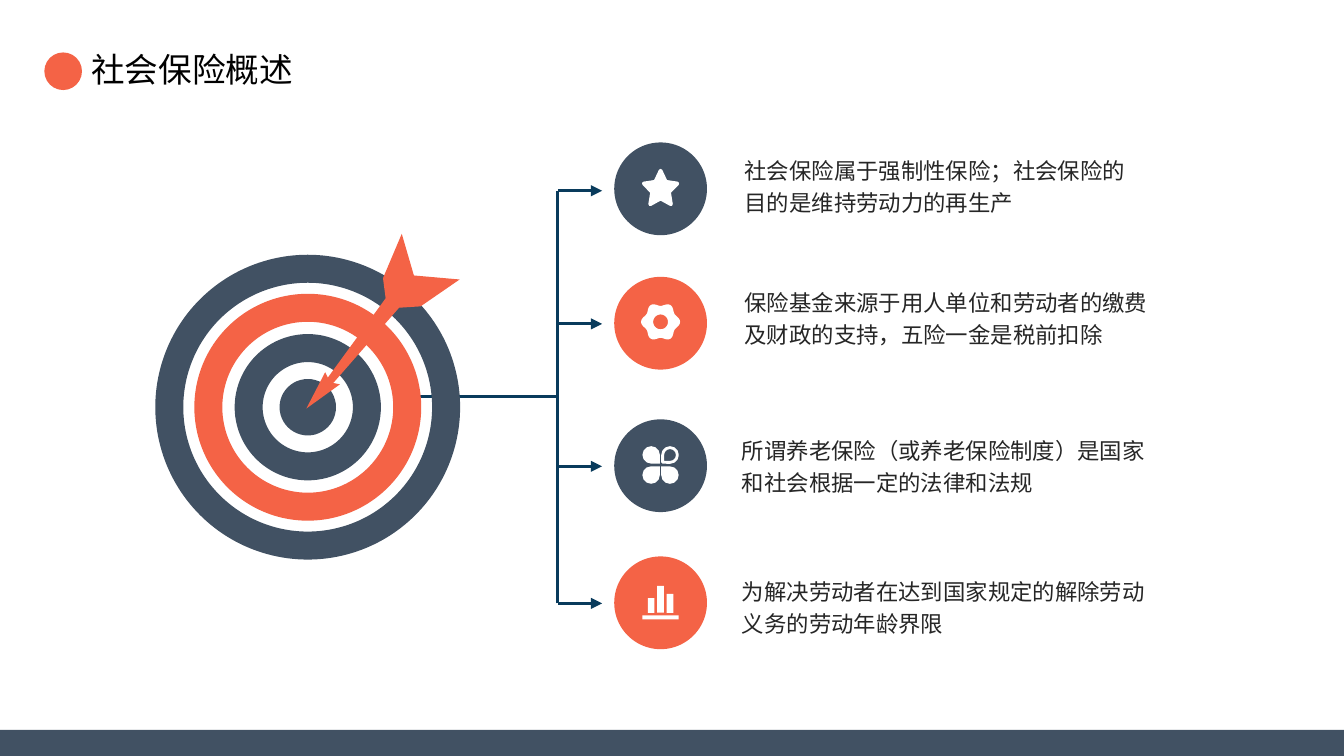
from dataclasses import dataclass
from math import cos, sin, tau
from typing import Callable

from lxml.etree import SubElement
from pptx import Presentation
from pptx.dml.color import RGBColor
from pptx.enum.shapes import MSO_CONNECTOR as Connector, MSO_SHAPE as Preset
from pptx.enum.text import MSO_ANCHOR as Anchor, MSO_AUTO_SIZE as AutoSize, PP_ALIGN as Align
from pptx.oxml.ns import qn
from pptx.util import Emu, Pt

PX = 9144  # EMU per px, 100 px to the inch
SLIDE_WIDTH = 1000


@dataclass(frozen=True)
class Theme:
    slate: str = "415163"
    coral: str = "F46346"
    navy: str = "093B5C"
    white: str = "FFFFFF"
    heading: str = "000000"
    body: str = "262626"
    heading_font: str = "Arial"
    body_font: str = "Noto Sans CJK SC"
    heading_pt: int = 18
    body_pt: int = 12
    body_leading: float = 17.3
    branch_pt: float = 1.5
    ring_pt: int = 15


THEME = Theme()


@dataclass(frozen=True)
class Box:
    x: int
    y: int
    w: int
    h: int


@dataclass(frozen=True)
class Point:
    text: str
    text_box: Box
    badge_y: int
    arrow_y: int
    color: str
    icon: Callable


def px(length: float) -> Emu:
    return Emu(round(length * PX))


def add_preset(slide, kind, box: Box, fill: str | None = None,
               line: str | None = None, line_pt: float = 0, turn: int = 0):
    shape = slide.shapes.add_shape(kind, px(box.x), px(box.y), px(box.w), px(box.h))
    shape.shadow.inherit = False
    shape.rotation = turn
    if fill:
        shape.fill.solid()
        shape.fill.fore_color.rgb = RGBColor.from_string(fill)
    else:
        shape.fill.background()
    if line:
        shape.line.color.rgb = RGBColor.from_string(line)
        shape.line.width = Pt(line_pt)
    else:
        shape.line.fill.background()
    return shape


def add_outline(slide, contours: list[list[tuple]], fill: str) -> None:
    scaled = [[(px(x), px(y)) for x, y in contour] for contour in contours]
    builder = slide.shapes.build_freeform(*scaled[0][0])
    builder.add_line_segments(scaled[0][1:])
    for hole in scaled[1:]:
        builder.move_to(*hole[0])
        builder.add_line_segments(hole[1:])
    shape = builder.convert_to_shape()
    shape.shadow.inherit = False
    shape.fill.solid()
    shape.fill.fore_color.rgb = RGBColor.from_string(fill)
    shape.line.fill.background()


def add_branch(slide, start: tuple, end: tuple, arrow: bool = False) -> None:
    branch = slide.shapes.add_connector(Connector.STRAIGHT, *map(px, start + end))
    branch.line.color.rgb = RGBColor.from_string(THEME.navy)
    branch.line.width = Pt(THEME.branch_pt)
    properties = branch._element.spPr
    if arrow:
        SubElement(properties.find(qn("a:ln")), qn("a:tailEnd"), type="triangle")
    SubElement(properties, qn("a:effectLst"))


def fill_placeholder(holder, text: str, box: Box, font: str, size: int,
                     color: str, anchor, wrap: bool) -> None:
    holder.left, holder.top, holder.width, holder.height = map(px, (box.x, box.y, box.w, box.h))
    frame = holder.text_frame
    frame.text = text
    frame.auto_size = AutoSize.NONE
    frame.word_wrap = wrap
    frame.vertical_anchor = anchor
    frame.margin_left, frame.margin_right = px(10), px(5)
    frame.margin_top = frame.margin_bottom = px(5)
    paragraph = frame.paragraphs[0]
    paragraph.alignment = Align.LEFT
    paragraph.space_before = paragraph.space_after = Pt(0)
    run_font = paragraph.runs[0].font
    run_font.name, run_font.size, run_font.bold = font, Pt(size), False
    run_font.color.rgb = RGBColor.from_string(color)
    SubElement(run_font._element, qn("a:ea"), typeface=THEME.body_font)


# Badge icons
def star_icon(slide) -> None:
    star = add_preset(slide, Preset.STAR_5_POINT, Box(479, 127, 25, 25),
                      THEME.white, THEME.white, 2)
    star.adjustments[0] = 0.25
    SubElement(star._element.spPr.find(qn("a:ln")), qn("a:round"))


def gear_icon(slide) -> None:
    angles = [tau * step / 72 for step in range(73)]

    def contour(radius: float, tooth: float) -> list[tuple]:
        reach = [radius + tooth * cos(6 * angle) for angle in angles]
        return [(491.5 + r * cos(a), 239.5 + r * sin(a)) for r, a in zip(reach, angles)]

    add_outline(slide, [contour(13.2, 1.3), contour(5.5, 0)[::-1]], THEME.white)


def petals_icon(slide) -> None:
    for x, y, turn in ((478, 332, 90), (478, 347, 0), (492, 347, 270)):
        add_preset(slide, Preset.TEAR, Box(x, y, 13, 13), THEME.white, turn=turn)
    add_preset(slide, Preset.TEAR, Box(493, 333, 11, 11), None, THEME.white, 1.5, 180)


def bars_icon(slide) -> None:
    for bar in (Box(482, 445, 5, 11), Box(489, 436, 5, 20),
                Box(496, 442, 5, 14), Box(478, 458, 27, 3)):
        add_preset(slide, Preset.RECTANGLE, bar, THEME.white)


POINTS = [
    Point("社会保险属于强制性保险；社会保险的目的是维持劳动力的再生产",
          Box(544, 108, 312, 57), 106, 142, THEME.slate, star_icon),
    Point("保险基金来源于用人单位和劳动者的缴费及财政的支持，五险一金是税前扣除",
          Box(544, 206, 320, 59), 206, 241, THEME.coral, gear_icon),
    Point("所谓养老保险（或养老保险制度）是国家和社会根据一定的法律和法规",
          Box(542, 316, 320, 57), 312, 347, THEME.slate, petals_icon),
    Point("为解决劳动者在达到国家规定的解除劳动义务的劳动年龄界限",
          Box(542, 421, 320, 57), 414, 449, THEME.coral, bars_icon),
]
DART = [(228, 304), (253, 286), (248, 285), (297, 229), (313, 228), (342, 208), (308, 205),
        (299, 174), (285, 207), (287, 222), (244, 281), (242, 277), (228, 304)]


def add_target(slide) -> None:
    center_x, center_y = 229, 303
    for radius, color in ((44, THEME.slate), (74, THEME.coral), (103, THEME.slate)):
        ring = Box(center_x - radius, center_y - radius, 2 * radius, 2 * radius)
        add_preset(slide, Preset.OVAL, ring, None, color, THEME.ring_pt)
    add_preset(slide, Preset.OVAL, Box(208, 282, 42, 42), THEME.slate)
    add_outline(slide, [DART], THEME.coral)


def add_point(slide, holder, point: Point) -> None:
    add_branch(slide, (415, point.arrow_y), (448, point.arrow_y), arrow=True)
    add_preset(slide, Preset.OVAL, Box(457, point.badge_y, 69, 69), point.color)
    point.icon(slide)
    fill_placeholder(holder, point.text, point.text_box, THEME.body_font,
                     THEME.body_pt, THEME.body, Anchor.TOP, wrap=True)
    paragraph = holder.text_frame.paragraphs[0]
    paragraph.line_spacing = Pt(THEME.body_leading)
    layout = paragraph._p.get_or_add_pPr()
    layout.set("marL", "0")
    layout.set("indent", "0")
    SubElement(layout, qn("a:buNone"))


def main() -> None:
    deck = Presentation()
    deck.slide_width = px(SLIDE_WIDTH)
    deck.slide_height = px(SLIDE_WIDTH * 9 / 16)
    slide = deck.slides.add_slide(deck.slide_layouts.get_by_name("Comparison"))
    heading, *bodies = slide.placeholders

    # Heading and footer band
    fill_placeholder(heading, "社会保险概述", Box(58, 31, 172, 41), THEME.heading_font,
                     THEME.heading_pt, THEME.heading, Anchor.MIDDLE, wrap=False)
    add_preset(slide, Preset.OVAL, Box(33, 39, 28, 28), THEME.coral)
    add_preset(slide, Preset.RECTANGLE, Box(0, 543, 1001, 21), THEME.slate)

    # Trunk from the target to the four points
    add_branch(slide, (311, 295), (415, 295))
    add_branch(slide, (415, POINTS[-1].arrow_y), (415, POINTS[0].arrow_y))
    for holder, point in zip(bodies, POINTS):
        add_point(slide, holder, point)

    add_target(slide)
    deck.save("out.pptx")


if __name__ == "__main__":
    main()
